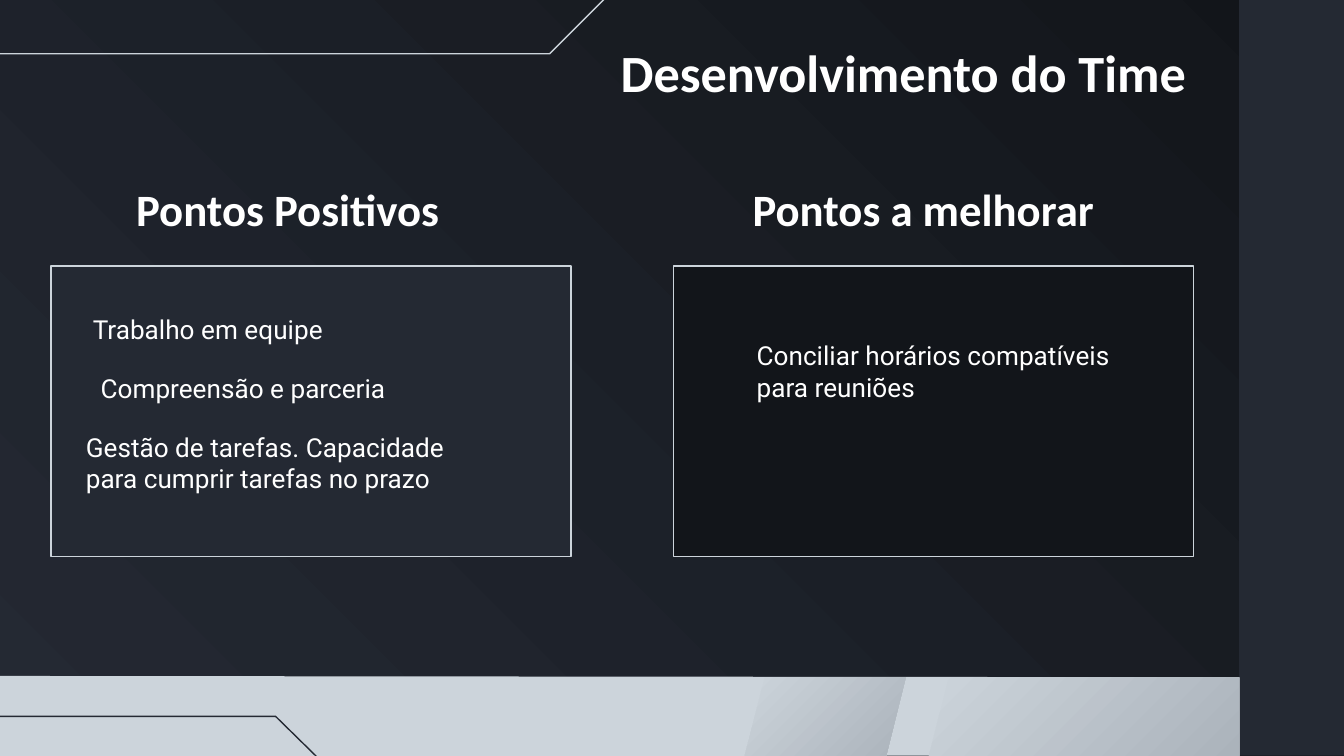
from pptx import Presentation
from pptx.dml.color import RGBColor
from pptx.enum.shapes import MSO_SHAPE as Shape
from pptx.enum.text import MSO_ANCHOR as Anchor, MSO_AUTO_SIZE as AutoSize, PP_ALIGN as Align
from pptx.util import Emu, Inches, Pt

SCALE = 9144  # EMU per px, at 100 px to the inch
INK, SLATE, MIST, STEEL, WHITE = "12151A", "242933", "CCD4DB", "ABB3BB", "FFFFFF"
INSET = 10

CARDS = [(501, INK), (38, SLATE)]
HEADINGS = [
    ("Pontos Positivos", (38, 125, 352, 52), INSET),
    ("Pontos a melhorar", (450, 125, 490, 63), INSET + 16),
]
# Text, frame and left inset of each point
POINTS = [
    ("Trabalho em equipe", (54, 228, 319, 34), INSET + 5),
    ("Compreensão e parceria", (65, 272, 309, 34), INSET),
    ("Gestão de tarefas. Capacidade para cumprir tarefas no prazo",
     (54, 316, 319, 57), INSET),
    ("Conciliar horários compatíveis para reuniões",
     (546, 248, 319, 57), INSET + 7),
]


def px(value):
    return Emu(value * SCALE)


def color(code):
    return RGBColor.from_string(code)


def paint_solid(fill, code):
    fill.solid()
    fill.fore_color.rgb = color(code)


def paint_gradient(fill, start, end, angle):
    """Fill with two colours; the angle runs counter-clockwise."""
    fill.gradient()
    fill.gradient_angle = angle
    for stop, code, position in zip(fill.gradient_stops, (start, end), (0, 1)):
        stop.color.rgb = color(code)
        stop.position = position


def set_outline(shape, code):
    shape.line.color.rgb = color(code)
    shape.line.width = Pt(0.75)


def add_rectangle(slide, frame, code):
    shape = slide.shapes.add_shape(Shape.RECTANGLE, *map(px, frame))
    shape.shadow.inherit = False
    paint_solid(shape.fill, code)
    shape.line.fill.background()
    return shape


def add_outline_shape(slide, points, close):
    builder = slide.shapes.build_freeform(*points[0], scale=SCALE)
    builder.add_line_segments(points[1:], close=close)
    shape = builder.convert_to_shape()
    shape.shadow.inherit = False
    return shape


def add_trace(slide, points, code):
    trace = add_outline_shape(slide, points, close=False)
    trace.fill.background()
    set_outline(trace, code)


def add_panel(slide, points):
    panel = add_outline_shape(slide, points, close=True)
    panel.line.fill.background()
    return panel


def write(box, text, size, font, align, left=INSET, right=INSET):
    frame = box.text_frame
    frame.word_wrap = True
    frame.auto_size = AutoSize.NONE
    frame.vertical_anchor = Anchor.TOP
    frame.margin_left, frame.margin_right = px(left), px(right)
    frame.margin_top = frame.margin_bottom = px(INSET)
    para = frame.paragraphs[0]
    para.alignment = align
    span = para.add_run()
    span.text = text
    span.font.size = Pt(size)
    span.font.name = font
    span.font.bold = font == "Calibri"
    span.font.color.rgb = color(WHITE)


def add_backdrop(slide):
    paint_gradient(slide.background.fill, INK, SLATE, 225)
    add_rectangle(slide, (922, 0, 78, 562), SLATE)
    add_trace(slide, [(-3, 40), (409, 40), (451, -2), (921, -2)], MIST)
    footer = add_panel(slide, [(-1, 503), (-1, 563), (922, 562), (922, 504)])
    paint_solid(footer.fill, MIST)
    for points in (
        [(569, 504), (554, 563), (659, 564), (674, 504)],
        [(706, 504), (691, 563), (922, 563), (922, 504)],
    ):
        paint_gradient(add_panel(slide, points).fill, MIST, STEEL, 315)
    add_trace(slide, [(520, 582), (255, 582), (205, 533), (-65, 533)], SLATE)


def place_title(slide, text):
    title = slide.shapes.title
    title.left, title.top, title.width, title.height = map(px, (427, 20, 490, 63))
    write(title, text, 28, "Calibri", Align.CENTER)


def main():
    deck = Presentation()
    deck.slide_width, deck.slide_height = Inches(10), Inches(5.625)
    slide = deck.slides.add_slide(deck.slide_layouts[5])
    add_backdrop(slide)
    place_title(slide, "Desenvolvimento do Time")
    for left, code in CARDS:
        set_outline(add_rectangle(slide, (left, 198, 387, 216), code), MIST)
    for text, frame, right in HEADINGS:
        box = slide.shapes.add_textbox(*map(px, frame))
        write(box, text, 24, "Calibri", Align.CENTER, right=right)
    for text, frame, left in POINTS:
        box = slide.shapes.add_textbox(*map(px, frame))
        write(box, text, 14, "Roboto", Align.LEFT, left=left)
        box.text_frame.margin_top = box.text_frame.margin_bottom = px(5)
    deck.save("out.pptx")


if __name__ == "__main__":
    main()
